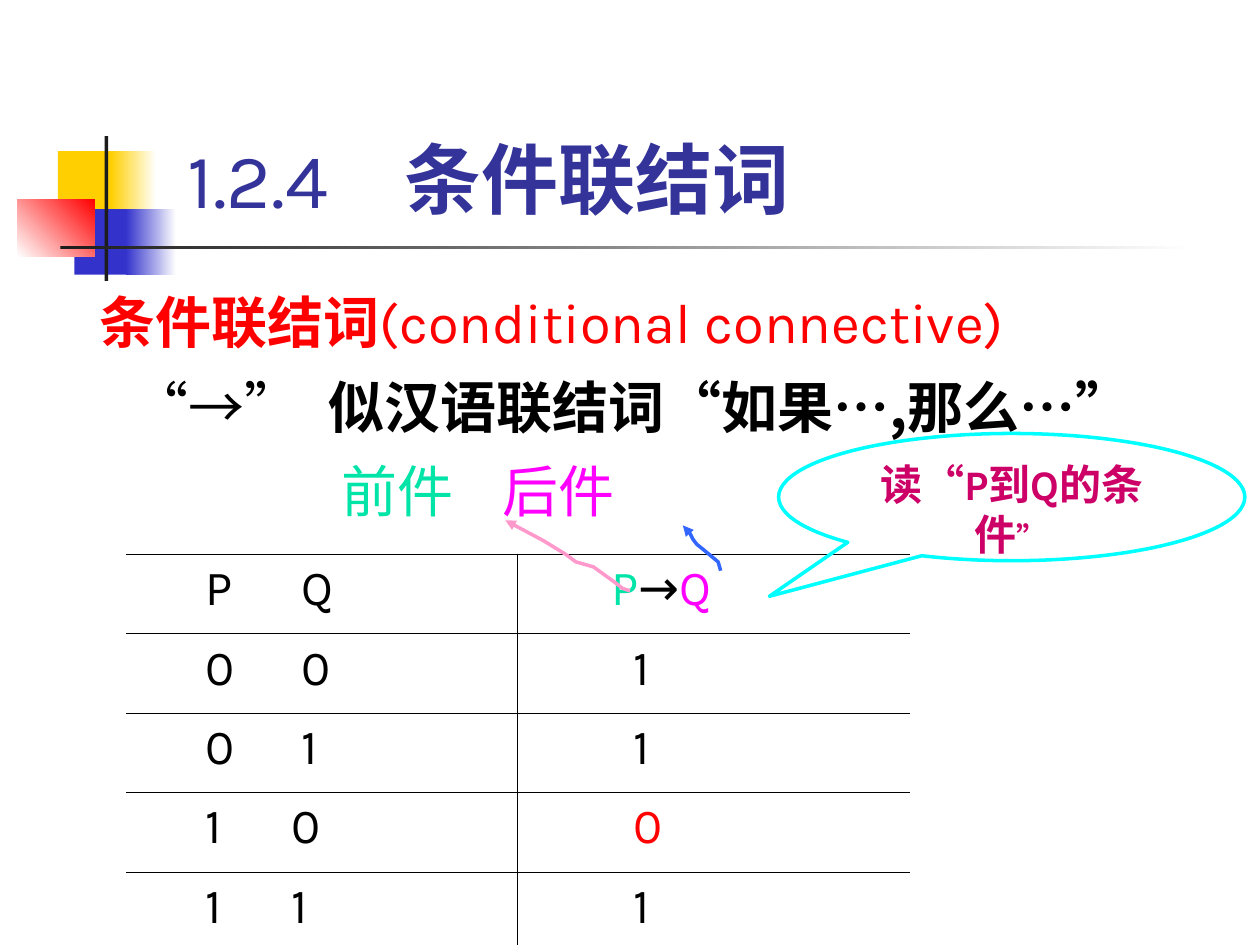
from lxml.etree import SubElement
from pptx import Presentation
from pptx.dml.color import RGBColor
from pptx.enum.shapes import MSO_SHAPE
from pptx.enum.text import MSO_ANCHOR, MSO_AUTO_SIZE, PP_ALIGN
from pptx.oxml import parse_xml
from pptx.oxml.ns import nsdecls, qn
from pptx.util import Inches, Pt

BLACK = RGBColor(0x00, 0x00, 0x00)
WHITE = RGBColor(0xFF, 0xFF, 0xFF)
DARK = RGBColor(0x1C, 0x1C, 0x1C)
YELLOW = RGBColor(0xFF, 0xCF, 0x01)
BLUE = RGBColor(0x33, 0x33, 0xCC)
NAVY = RGBColor(0x33, 0x33, 0x99)
RED = RGBColor(0xFF, 0x00, 0x00)
GREEN = RGBColor(0x00, 0xE4, 0xA8)
MAGENTA = RGBColor(0xFF, 0x00, 0xFF)
CYAN = RGBColor(0x00, 0xFF, 0xFF)
CRIMSON = RGBColor(0xCC, 0x00, 0x66)
SKY = RGBColor(0x33, 0x66, 0xFF)
PINK = RGBColor(0xFF, 0x99, 0xCC)
KARLA, ARIAL, NOTO = "Karla", "Arial", "Noto Sans CJK SC"

prs = Presentation()
prs.slide_width, prs.slide_height = Inches(10), Inches(7.5)
COL, ROW = prs.slide_width // 100, prs.slide_height // 75
s = prs.slides.add_slide(prs.slide_layouts[5])


def grid(*values):
    """Alternating column and row counts as slide lengths."""
    return [int(v * (ROW if i % 2 else COL)) for i, v in enumerate(values)]


def write(p, runs, size, stops=()):
    """Fill a paragraph with (text, font, colour, bold[, size]) runs and tab stops."""
    if stops:
        tabs = SubElement(p._p.get_or_add_pPr(), qn("a:tabLst"))
        for stop in stops:
            SubElement(tabs, qn("a:tab"), pos=str(int(stop * COL)), algn="l")
    for text, font, color, bold, *own in runs:
        r = p.add_run()
        r.text = text
        r.font.name, r.font.bold = font, bold
        r.font.size = Pt(own[0] if own else size)
        r.font.color.rgb = color


# Corner squares and rules: position, start colour, end colour, angle
decor = [
    ((4.6, 12, 4.8, 5.2), YELLOW, None, 0),
    ((8.8, 12, 3.6, 5.2), YELLOW, WHITE, 0),
    ((5.9, 16.6, 4.6, 5.2), BLUE, None, 0),
    ((10, 16.6, 4, 5.2), BLUE, WHITE, 0),
    ((1.4, 15.8, 6.1, 4.6), WHITE, RED, 45),
    ((8.3, 10.8, 0.3, 11.5), DARK, None, 0),
    ((4.8, 19.5, 90, 0.3), DARK, WHITE, 0),
]
for box, start, end, angle in decor:
    sp = s.shapes.add_shape(MSO_SHAPE.RECTANGLE, *grid(*box))
    sp.shadow.inherit = False
    sp.line.fill.background()
    if end is None:
        sp.fill.solid()
        sp.fill.fore_color.rgb = start
        continue
    sp.fill.gradient()
    sp.fill.gradient_angle = angle
    for stop, color, position in zip(sp.fill.gradient_stops, (start, end), (0, 1)):
        stop.color.rgb, stop.position = color, position

# Title
title = s.shapes.title
title.left, title.top, title.width, title.height = grid(12.6, 2.3, 85.2, 16)
tf = title.text_frame
tf.auto_size, tf.vertical_anchor = MSO_AUTO_SIZE.NONE, MSO_ANCHOR.BOTTOM
tf.paragraphs[0].alignment = PP_ALIGN.LEFT
write(tf.paragraphs[0], [("\t1.2.4\t", KARLA, NAVY, False),
                         ("条件联结词", KARLA, NAVY, True)], 44, (1.3, 18.5))

# Body lines: tab stops, runs
body = [
    ((1.8,), [("\t条件联结词", KARLA, RED, True),
              ("(conditional connective)", KARLA, RED, False)]),
    ((4.4, 17.3), [("\t“", ARIAL, BLACK, False), ("→", KARLA, BLACK, False),
                   ("”\t", ARIAL, BLACK, False), ("似汉语联结词", KARLA, BLACK, True),
                   ("“", ARIAL, BLACK, True), ("如果", KARLA, BLACK, True),
                   ("…", ARIAL, BLACK, True), (",", NOTO, BLACK, True),
                   ("那么", KARLA, BLACK, True), ("…”", ARIAL, BLACK, True)]),
    ((21, 33.8), [("\t前件\t", KARLA, GREEN, False), ("后件", KARLA, MAGENTA, False)]),
]
tf = s.shapes.add_textbox(*grid(5.1, 22.1, 93.7, 22)).text_frame
tf.word_wrap = True
for i, (stops, runs) in enumerate(body):
    p = tf.add_paragraph() if i else tf.paragraphs[0]
    p.line_spacing, p.space_before = 1.05, Pt(8)
    write(p, runs, 32, stops)

# Truth table: P, Q, stop of Q, result runs
truth = [
    ("P", "Q", 12.9, [("\tP", KARLA, GREEN, False), ("→", KARLA, BLACK, False),
                      ("Q", KARLA, MAGENTA, False)]),
    ("0", "0", 12.9, [("\t1", KARLA, BLACK, False)]),
    ("0", "1", 12.9, [("\t1", KARLA, BLACK, False)]),
    ("1", "0", 12.1, [("\t0", KARLA, RED, False)]),
    ("1", "1", 12.1, [("\t1", KARLA, BLACK, False)]),
]
table = s.shapes.add_table(len(truth), 2, *grid(10, 44, 62.2, 31.5)).table
for column in table.columns:
    column.width = int(31.1 * COL)
for i, (left, right, q_stop, result) in enumerate(truth):
    table.rows[i].height = int(6.3 * ROW)
    cells = [([(f"\t{left}\t{right}", KARLA, BLACK, False)], (5.3, q_stop)),
             (result, (6.4 if i == 0 else 8.2,))]
    for j, (runs, stops) in enumerate(cells):
        cell = table.cell(i, j)
        cell.fill.background()
        p = cell.text_frame.paragraphs[0]
        p.space_before = Pt(7)
        write(p, runs, 28, stops)
        # Borders: no outer verticals, heavier top and bottom rules
        widths = {"lnL": 0.45 * j, "lnR": 0.45 * (1 - j),
                  "lnT": 1.08 if i == 0 else 0.45,
                  "lnB": 1.08 if i == len(truth) - 1 else 0.45}
        for k, (tag, width) in enumerate(widths.items()):
            paint = '<a:solidFill><a:srgbClr val="000000"/></a:solidFill>' if width else "<a:noFill/>"
            cell._tc.get_or_add_tcPr().insert(k, parse_xml(
                f'<a:{tag} {nsdecls("a")} w="{int(Pt(width))}">{paint}</a:{tag}>'))

# Callout
sp = s.shapes.add_shape(MSO_SHAPE.OVAL_CALLOUT, *grid(61.8, 34.4, 37, 10.1))
sp.adjustments[0], sp.adjustments[1] = -0.52, 0.78
sp.shadow.inherit = False
sp.fill.background()
sp.line.color.rgb, sp.line.width = CYAN, Pt(2)
tf = sp.text_frame
tf.word_wrap, tf.vertical_anchor = True, MSO_ANCHOR.TOP
tf.paragraphs[0].alignment = PP_ALIGN.CENTER
write(tf.paragraphs[0], [("读", KARLA, CRIMSON, True), ("“", ARIAL, CRIMSON, True),
                         ("P到Q的条件", KARLA, CRIMSON, True),
                         ("”", ARIAL, CRIMSON, True, 18)], 24)

# Curved arrows from the formula up to its parts, head at the first point
arrows = [
    (SKY, [(54.2, 41.7), (54.5, 42), (54.8, 42.4), (55, 42.8), (55.3, 43.2),
           (55.8, 43.6), (56.4, 44.1), (57, 44.6), (57.2, 45.3)]),
    (PINK, [(40.1, 41.3), (41.6, 42.1), (43.1, 42.9), (44.9, 44), (45.7, 44.6),
            (47.1, 45), (48.9, 46.3), (49.4, 46.7), (50, 46.9)]),
]
for color, points in arrows:
    points = [grid(*point) for point in points]
    fb = s.shapes.build_freeform(*points[0])
    fb.add_line_segments(points[1:], close=False)
    sp = fb.convert_to_shape()
    sp.shadow.inherit = False
    sp.fill.background()
    sp.line.color.rgb, sp.line.width = color, Pt(2)
    SubElement(sp.line._get_or_add_ln(), qn("a:headEnd"), type="triangle")

prs.save("out.pptx")
